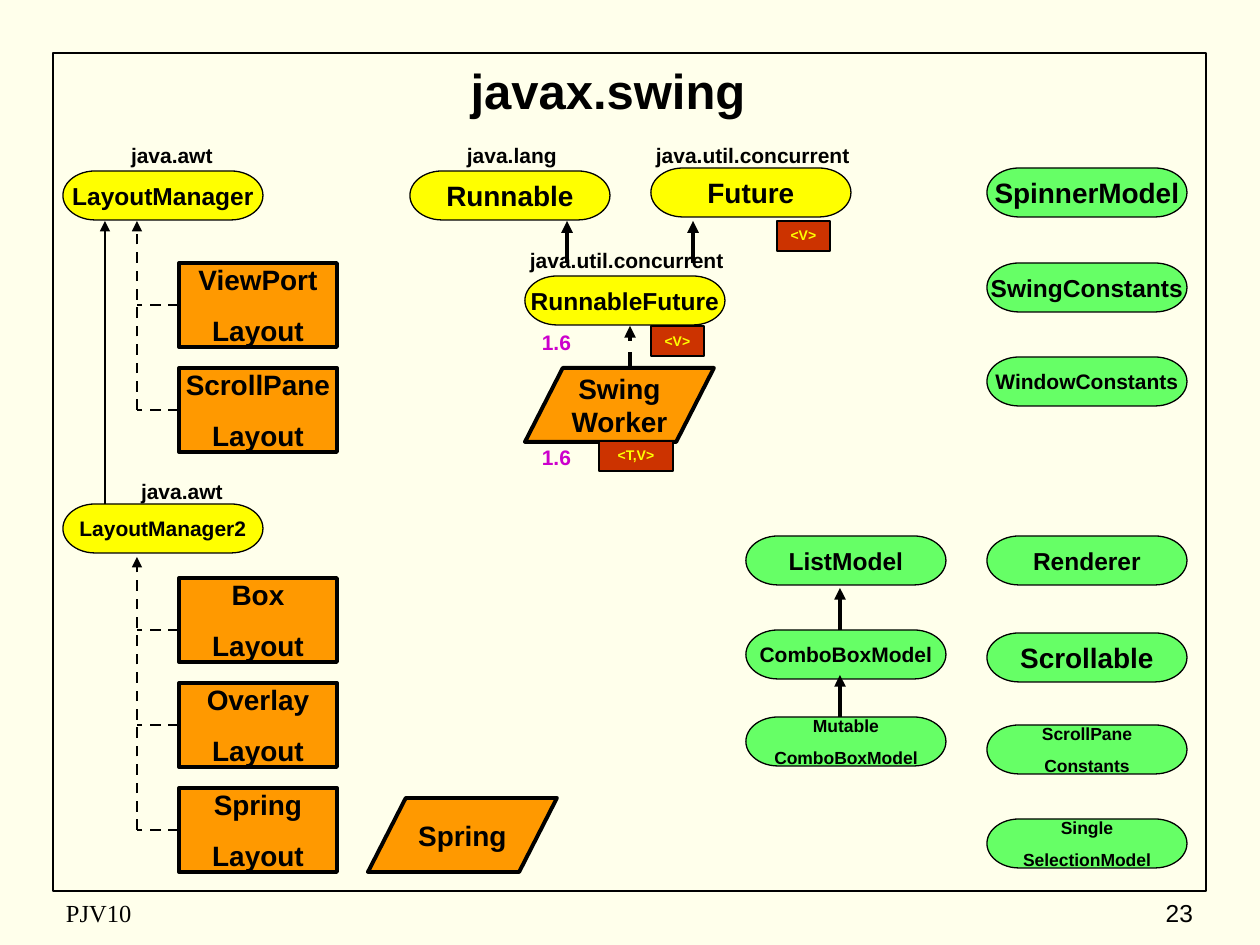
from lxml import etree
from pptx import Presentation
from pptx import util as u
from pptx.dml.color import RGBColor
from pptx.enum import dml, shapes, text
from pptx.oxml import ns

PX = u.Inches(1) / 126
CREAM = RGBColor(0xFF, 0xFF, 0xEB)
BLACK = RGBColor(0, 0, 0)
YELLOW = RGBColor(0xFF, 0xFF, 0)
GREEN = RGBColor(0x66, 0xFF, 0x66)
ORANGE = RGBColor(0xFF, 0x99, 0)
RED = RGBColor(0xCC, 0x33, 0)
PURPLE = RGBColor(0xCC, 0, 0xCC)

KIND = shapes.MSO_SHAPE
ALIGN = text.PP_ALIGN
ANCHOR = text.MSO_ANCHOR
PILL = (200, 49)
CLASS_BOX = (158, 84)
SLANTED_BOX = (189, 74)
TAG_HEIGHT = 30


def px(*lengths):
    return [u.Emu(round(length * PX)) for length in lengths]


def apply(target, values):
    for name, value in values.items():
        setattr(target, name, value)


def write(box, lines, size, color=BLACK, bold=True, font="Arial", align=ALIGN.CENTER,
          anchor=ANCHOR.MIDDLE, wrap=False, gap=0, left=13, right=13):
    frame = box.text_frame
    margins = px(left, 6, right, 6)
    apply(frame, {"word_wrap": wrap, "vertical_anchor": anchor,
                  "margin_left": margins[0], "margin_top": margins[1],
                  "margin_right": margins[2], "margin_bottom": margins[3]})
    for index, line in enumerate(lines.split("\n")):
        para = frame.add_paragraph() if index else frame.paragraphs[0]
        para.alignment = align
        if index and gap:
            para.space_before = u.Pt(gap)
        span = para.add_run()
        span.text = line
        apply(span.font, {"size": u.Pt(size), "bold": bold, "name": font})
        span.font.color.rgb = color


def add_box(page, kind, bounds, fill, weight):
    box = page.shapes.add_shape(kind, *px(*bounds))
    box.shadow.inherit = False
    if fill is None:
        box.fill.background()
    else:
        box.fill.solid()
        box.fill.fore_color.rgb = fill
    box.line.color.rgb = BLACK
    box.line.width = u.Pt(weight)
    return box


def add_pill(page, x, y, name, size, fill):
    pill = add_box(page, KIND.FLOWCHART_TERMINATOR, (x, y, *PILL), fill, 0.75)
    write(pill, name, size, gap=size * 0.625)


def add_slanted(page, x, y, name):
    box = add_box(page, KIND.FLOWCHART_DATA, (x, y, *SLANTED_BOX), ORANGE, 2.25)
    write(box, name, 16)


def add_tag(page, x, y, width, name):
    tag = add_box(page, KIND.RECTANGLE, (x, y, width, TAG_HEIGHT), RED, 0.75)
    write(tag, name, 8, YELLOW, anchor=ANCHOR.TOP)


def add_text(page, bounds, words, size, **style):
    box = page.shapes.add_textbox(*px(*bounds))
    write(box, words, size, wrap=True, **style)


def add_label(page, x, y, width, name):
    add_text(page, (x, y, width, 38), name, 12, align=ALIGN.LEFT,
             anchor=ANCHOR.TOP, left=36)


def add_line(page, start, end, weight, dashed=False, arrow=True):
    line = page.shapes.add_connector(shapes.MSO_CONNECTOR.STRAIGHT, *px(*start, *end))
    line.line.color.rgb = BLACK
    line.line.width = u.Pt(weight)
    if dashed:
        line.line.dash_style = dml.MSO_LINE.DASH
    if arrow:
        etree.SubElement(line.line._get_or_add_ln(), ns.qn("a:tailEnd"), type="triangle")
    etree.SubElement(line._element.spPr, ns.qn("a:effectLst"))
    return line


def draw_frame(page, box):
    left, top, width, height = box
    add_box(page, KIND.RECTANGLE, box, None, 1)
    # The wider right margin moves the title a little left
    add_text(page, (left, top, 1124, 73), "javax.swing", 28, right=27)
    foot = top + height + 1
    add_text(page, (left, foot, 399, 42), "PJV10", 14, bold=False,
             font="Times New Roman", align=ALIGN.LEFT)
    add_text(page, (left + width - 262, foot, 262, 42), "23", 14, bold=False,
             align=ALIGN.RIGHT)


def draw_layouts(page, box):
    left, top = box[:2]
    trunk, class_left = left + 74, left + 116
    # Interfaces
    add_pill(page, left, top + 34, "LayoutManager", 14, YELLOW)
    add_pill(page, left, top + 367, "LayoutManager2", 12, YELLOW)
    add_label(page, left + 32, top, 210, "java.awt")
    add_label(page, left + 42, top + 336, 210, "java.awt")
    add_line(page, (left + 42, top + 367), (left + 42, top + 84), 1.5)

    # Implementing classes, each group on a dashed trunk
    groups = [(126, 84, 273, ["ViewPort", "ScrollPane"]),
              (441, 420, 693, ["Box", "Overlay", "Spring"])]
    for first, tip, base, names in groups:
        add_line(page, (trunk, top + base), (trunk, top + tip), 1.5, dashed=True)
        for index, name in enumerate(names):
            y = top + first + 105 * index
            item = add_box(page, KIND.RECTANGLE, (class_left, y, *CLASS_BOX), ORANGE, 2.25)
            write(item, name + "\nLayout", 16, gap=10)
            off_middle = 10 if name == "Box" else 0
            joint = y + CLASS_BOX[1] // 2 + off_middle
            branch = add_line(page, (class_left, joint), (trunk, joint), 1.5,
                              dashed=True, arrow=False)
            if not off_middle:
                branch.begin_connect(item, 1)
    add_slanted(page, left + 305, top + 661, "Spring")


def draw_worker(page, box):
    left, top = box[:2]
    center = left + 115
    add_slanted(page, center, top + 231, "Swing\nWorker")
    # Interfaces and their packages
    for x, y, name, size in [(115, 139, "RunnableFuture", 14), (241, 31, "Future", 16),
                             (0, 34, "Runnable", 16)]:
        add_pill(page, left + x, top + y, name, size, YELLOW)
    for x, y, width, name in [(84, 105, 262, "java.util.concurrent"),
                              (210, 0, 262, "java.util.concurrent"),
                              (21, 0, 179, "java.lang")]:
        add_label(page, left + x, top + y, width, name)
    # Inheritance
    for x, y, dashed in [(283, 126, False), (157, 126, False), (220, 231, True)]:
        add_line(page, (left + x, top + y), (left + x, top + y - 42), 2.25, dashed)
    # Type parameters and versions
    for x, y, width, name in [(367, 84, 53, "<V>"), (241, 189, 53, "<V>"),
                              (189, 304, 74, "<T,V>")]:
        add_tag(page, left + x, top + y, width, name)
    for y in (187, 302):
        add_text(page, (center, top + y, 63, 38), "1.6", 12, color=PURPLE,
                 anchor=ANCHOR.TOP)


def draw_models(page, box):
    left, top, width = box[:3]
    right = left + width - PILL[0]
    for x, y, name, size in [
            (right, 0, "SpinnerModel", 16), (right, 95, "SwingConstants", 14),
            (right, 189, "WindowConstants", 12), (right, 368, "Renderer", 14),
            (right, 465, "Scrollable", 16), (right, 557, "ScrollPane\nConstants", 10),
            (right, 651, "Single\nSelectionModel", 10),
            (left, 368, "ListModel", 14), (left, 462, "ComboBoxModel", 12),
            (left, 549, "Mutable\nComboBoxModel", 10)]:
        add_pill(page, x, top + y, name, size, GREEN)
    for y in (462, 549):
        add_line(page, (left + 94, top + y), (left + 94, top + y - 42), 2.25)


def main():
    deck = Presentation()
    deck.slide_width, deck.slide_height = px(1260, 945)
    page = deck.slides.add_slide(deck.slide_layouts[6])
    page.background.fill.solid()
    page.background.fill.fore_color.rgb = CREAM
    draw_frame(page, (53, 53, 1153, 838))
    draw_layouts(page, (63, 137, 494, 735))
    draw_worker(page, (410, 137, 441, 334))
    draw_models(page, (746, 168, 441, 700))
    deck.save("out.pptx")


if __name__ == "__main__":
    main()
